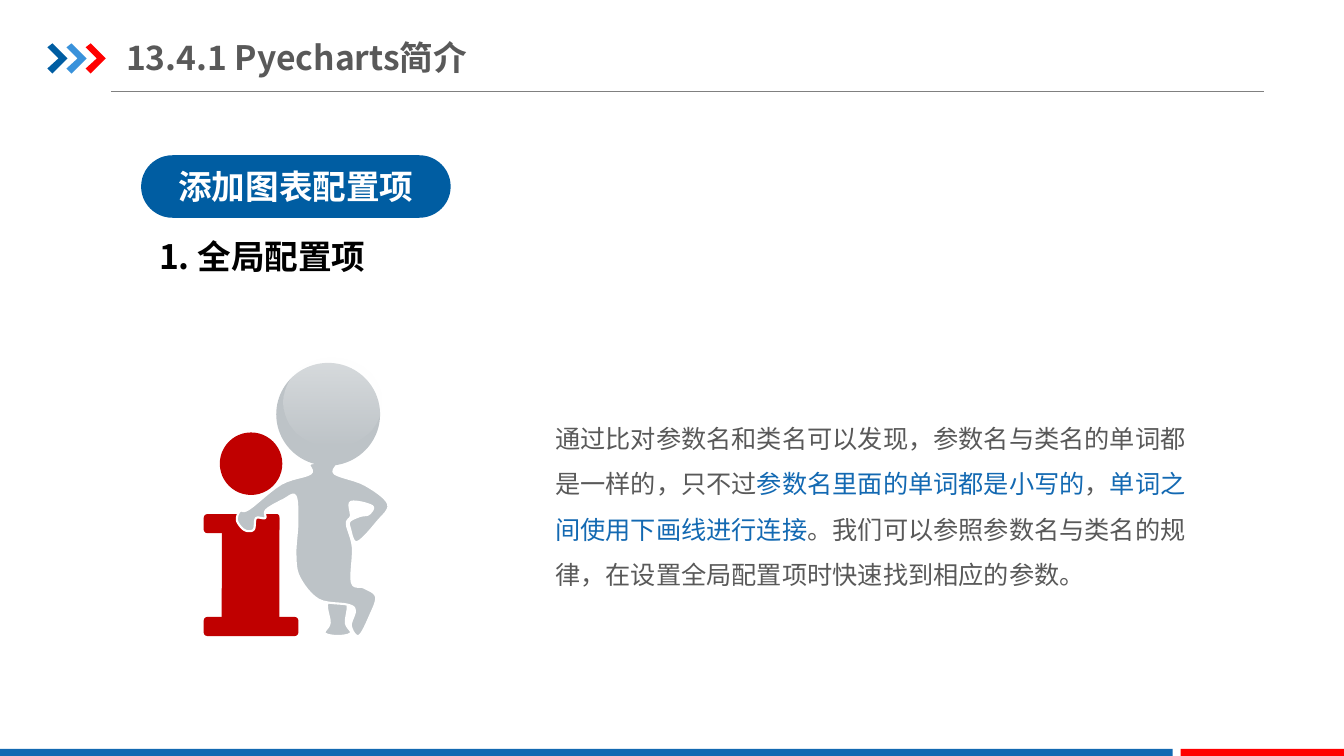
import pptx
import pptx.dml.color
import pptx.enum.shapes
import pptx.enum.text
import pptx.oxml
import pptx.oxml.ns
import pptx.util

Inches = pptx.util.Inches
RGBColor = pptx.dml.color.RGBColor
SHAPE = pptx.enum.shapes.MSO_SHAPE
ALIGN = pptx.enum.text.PP_ALIGN
ANCHOR = pptx.enum.text.MSO_ANCHOR
NAMESPACE = pptx.oxml.ns.nsdecls("a")

# Colours and font
NAVY = RGBColor(0x00, 0x5D, 0xA2)
SKY = RGBColor(0x39, 0x92, 0xDB)
BLUE = RGBColor(0x13, 0x69, 0xB2)
RED = RGBColor(0xFF, 0x00, 0x00)
CRIMSON = RGBColor(0xC0, 0x00, 0x00)
SILVER = RGBColor(0xBD, 0xC3, 0xC7)
GRAY = RGBColor(0x80, 0x80, 0x80)
TEXT_GRAY = RGBColor(0x59, 0x59, 0x59)
WHITE = RGBColor(0xFF, 0xFF, 0xFF)
BLACK = RGBColor(0x00, 0x00, 0x00)
FONT = "Noto Sans CJK SC"

# Wording
TITLE = "13.4.1 Pyecharts简介"
TOPIC = "添加图表配置项"
SUBTOPIC = "1. 全局配置项"
BODY = [
    ("通过比对参数名和类名可以发现，参数名与类名的单词都是一样的，只不过", TEXT_GRAY),
    ("参数名里面的单词都是小写的", BLUE),
    ("，", TEXT_GRAY),
    ("单词之间使用下画线进行连接", BLUE),
    ("。我们可以参照参数名与类名的规律，在设置全局配置项时快速找到相应的参数。", TEXT_GRAY),
]

# Header chevrons and footer bars
CHEVRON = [(0, 0.04), (0.05, 0), (0.2, 0.15), (0.05, 0.3), (0, 0.25), (0.11, 0.15)]
CHEVRON_COLORS = [NAVY, SKY, RED]
CHEVRON_LEFT, CHEVRON_TOP, CHEVRON_STEP = 0.47, 0.43, 0.19
FOOTER_BARS = [(0, 11.63, BLUE), (11.71, 1.63, RED)]

# Letter i: left, top, width, height and corner of each slab
LETTER_SLABS = [
    (2.02, 5.1, 0.75, 0.19, 0.2),
    (2.2, 5.1, 0.57, 1.1, 0.04),
    (2.02, 6.12, 0.94, 0.19, 0.2),
]
# Smooth outlines, as points in inches
FOOT = [(3.25, 5.98), (3.27, 6.18), (3.22, 6.28), (3.35, 6.31),
        (3.48, 6.28), (3.43, 6.18), (3.44, 5.98)]
PERSON = [
    # Neck, bent arm and hand on the hip
    (3.33, 4.6), (3.32, 4.7), (3.62, 4.81), (3.85, 5), (3.74, 5.18), (3.54, 5.38),
    (3.47, 5.24), (3.47, 5.17), (3.57, 5.12), (3.66, 5.1), (3.69, 5.02),
    (3.48, 4.98), (3.48, 5.12), (3.44, 5.2),
    # Trunk and crossed leg
    (3.5, 5.43), (3.49, 5.78), (3.61, 5.83), (3.73, 5.92), (3.67, 6.11),
    (3.56, 6.31), (3.48, 6.21), (3.52, 6.06), (3.45, 6), (3.16, 5.95),
    (2.97, 5.73), (2.93, 5.5), (2.95, 5.18), (2.93, 4.92),
    # Leaning arm and hand
    (2.81, 4.96), (2.64, 5.06), (2.63, 5.14), (2.54, 5.14), (2.52, 5.25),
    (2.46, 5.27), (2.4, 5.24), (2.35, 5.16), (2.38, 5.07), (2.47, 5.05),
    (2.79, 4.8), (3.08, 4.7), (3.08, 4.6),
]
CURVE_STEPS = 6


def smooth(points):
    """Run a closed Catmull-Rom curve through the points."""
    curve = []
    for index, here in enumerate(points):
        before = points[index - 1]
        after, beyond = (points[(index + ahead) % len(points)] for ahead in (1, 2))
        for step in range(CURVE_STEPS):
            t = step / CURVE_STEPS
            curve.append(tuple(
                b + t * ((c - a) + t * ((2 * a - 5 * b + 4 * c - d)
                                        + t * (3 * b - a - 3 * c + d))) / 2
                for a, b, c, d in zip(before, here, after, beyond)))
    return curve


def paint(shape, color):
    shape.shadow.inherit = False
    shape.fill.solid()
    shape.fill.fore_color.rgb = color
    shape.line.fill.background()
    return shape


def add_outline(shapes, points, color):
    corners = [(Inches(x), Inches(y)) for x, y in points]
    builder = shapes.build_freeform(*corners[0])
    builder.add_line_segments(corners[1:], close=True)
    return paint(builder.convert_to_shape(), color)


def add_preset(shapes, kind, box, color):
    return paint(shapes.add_shape(kind, *map(Inches, box)), color)


def write(shape, runs, size, bold=False, wrap=True):
    frame = shape.text_frame
    frame.word_wrap = wrap
    paragraph = frame.paragraphs[0]
    for text, color in runs:
        run = paragraph.add_run()
        run.text = text
        if len(runs) > 1:
            run.font.color.rgb = color
    font = paragraph.font
    font.size, font.bold = pptx.util.Pt(size), bold
    font.color.rgb = runs[0][1]
    font.name = FONT
    font._element.append(
        pptx.oxml.parse_xml(f'<a:ea {NAMESPACE} typeface="{FONT}"/>'))
    return frame


presentation = pptx.Presentation()
presentation.slide_width, presentation.slide_height = Inches(13.33), Inches(7.5)
slide = presentation.slides.add_slide(presentation.slide_layouts[6])
shapes = slide.shapes

# Header rule, chevrons and footer bars
rule = shapes.add_connector(pptx.enum.shapes.MSO_CONNECTOR.STRAIGHT,
                            Inches(1.1), Inches(0.91), Inches(12.54), Inches(0.91))
rule.line.color.rgb = GRAY
rule.line.width = pptx.util.Pt(0.75)
rule._element.spPr.append(pptx.oxml.parse_xml(f"<a:effectLst {NAMESPACE}/>"))
for index, color in enumerate(CHEVRON_COLORS):
    left = CHEVRON_LEFT + index * CHEVRON_STEP
    add_outline(shapes, [(left + x, CHEVRON_TOP + y) for x, y in CHEVRON], color)
for left, width, color in FOOTER_BARS:
    add_preset(shapes, SHAPE.RECTANGLE, (left, 7.43, width, 0.09), color)

# Title, topic badge and subtopic
title = shapes.add_textbox(*map(Inches, (1.25, 0.29, 4.55, 0.55)))
frame = write(title, [(TITLE, TEXT_GRAY)], 24, bold=True)
frame.vertical_anchor = ANCHOR.MIDDLE
frame.margin_left = frame.margin_right = 0
frame.margin_top = frame.margin_bottom = Inches(0.07)
badge = add_preset(shapes, SHAPE.ROUNDED_RECTANGLE, (1.4, 1.54, 3.07, 0.62), NAVY)
badge.adjustments[0] = 0.5
frame = write(badge, [(TOPIC, WHITE)], 24, bold=True)
frame.vertical_anchor = ANCHOR.MIDDLE
frame.paragraphs[0].alignment = ALIGN.CENTER
subtopic = shapes.add_textbox(*map(Inches, (1.48, 2.29, 2.4, 0.5)))
write(subtopic, [(SUBTOPIC, BLACK)], 24, bold=True, wrap=False)

# Figure leaning on the letter i, with white edges between the parts
figure = shapes.add_group_shape().shapes
for *box, corner in LETTER_SLABS:
    slab = add_preset(figure, SHAPE.ROUNDED_RECTANGLE, box, CRIMSON)
    slab.adjustments[0] = corner
add_preset(figure, SHAPE.OVAL, (2.18, 4.29, 0.62, 0.62), CRIMSON)
for outline in (FOOT, PERSON):
    limb = add_outline(figure, smooth(outline), SILVER)
    limb.line.color.rgb = WHITE
    limb.line.width = pptx.util.Pt(1.5)
add_preset(figure, SHAPE.OVAL, (2.74, 3.6, 1.03, 1.02), SILVER)

# Gloss on the head fades downwards
gloss = add_preset(figure, SHAPE.OVAL, (2.81, 3.55, 0.97, 0.88), WHITE)
gloss.rotation = 180
gloss.fill.gradient()
gloss.fill.gradient_angle = 270
for stop, opacity in zip(gloss.fill.gradient_stops, (0, 42)):
    stop.color.rgb = WHITE
    stop._gs[0].append(pptx.oxml.parse_xml(
        f'<a:alpha {NAMESPACE} val="{opacity * 1000}"/>'))

# Explanation
explanation = shapes.add_textbox(*map(Inches, (5.41, 4, 6.54, 1.92)))
write(explanation, BODY, 18).paragraphs[0].line_spacing = 1.5

presentation.save("out.pptx")
